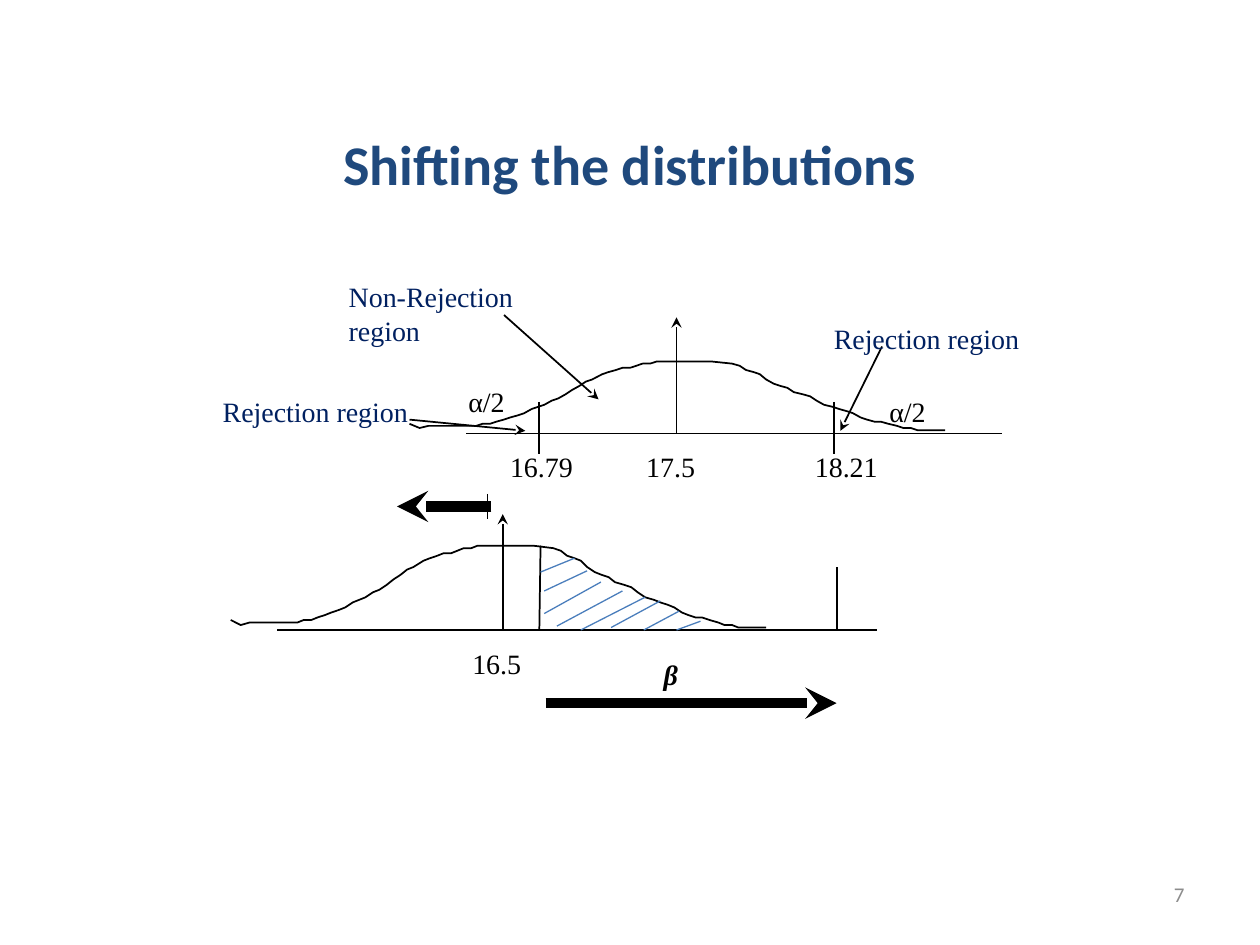
import pptx
import pptx.dml.color
import pptx.enum.shapes
import pptx.enum.text
import pptx.oxml
import pptx.oxml.ns
import pptx.util
from dataclasses import dataclass

Pt = pptx.util.Pt
Align = pptx.enum.text.PP_ALIGN
Anchor = pptx.enum.text.MSO_ANCHOR

BLACK, NAVY, TITLE_BLUE, HATCH_BLUE, GREY = "000000", "002060", "1F497D", "4B7EBC", "8C8C8C"
UPPER_AXIS, LOWER_AXIS = 247.7, 360
UPPER_MEAN, LOWER_MEAN = 386.6, 287.3
LOWER_LIMIT, UPPER_LIMIT = 308.2, 476.6
BETA_END = 478.1

# Bell outline in hundredths of an inch, measured from its left end and its peak
BELL = [
    (0, 59), (8, 63), (15, 61), (53, 61), (58, 59), (64, 59), (69, 57), (75, 55),
    (80, 53), (86, 51), (91, 49), (97, 45), (102, 43), (107, 41), (113, 37), (118, 35),
    (124, 31), (129, 27), (135, 23), (140, 19), (145, 17), (153, 12), (158, 10), (164, 8),
    (169, 6), (175, 6), (180, 4), (185, 2), (191, 2), (196, 0), (240, 0), (256, 2),
    (262, 4), (267, 8), (273, 10), (278, 12), (283, 17), (289, 21), (294, 23), (300, 25),
    (305, 29), (312, 31), (318, 33), (323, 37), (329, 41), (336, 43), (341, 45), (347, 47),
    (352, 49), (358, 53), (363, 55), (369, 57), (374, 57), (380, 59), (387, 61), (392, 63),
    (398, 63), (403, 65), (425, 65),
]
BELL_DEPTH = 65


@dataclass
class Label:
    text: str
    left: float
    top: float
    width: float = 57.6
    height: float = 36
    color: str = BLACK
    size: float = 16
    font: str = "Times New Roman"
    bold: bool = False
    italic: bool = False
    align: Align = Align.LEFT
    anchor: Anchor = Anchor.TOP


@dataclass
class Line:
    """A straight line; an arrow has its tip at the second point."""
    x1: float
    y1: float
    x2: float
    y2: float
    arrow: bool = False
    weight: float = 1
    color: str = BLACK


@dataclass
class Curve:
    left: float
    top: float
    height: float


CURVES = [Curve(234, 206.6, 39.2), Curve(131.8, 311.8, 46.8)]

LINES = [
    Line(266.4, UPPER_AXIS, 572.4, UPPER_AXIS),
    Line(UPPER_MEAN, UPPER_AXIS, UPPER_MEAN, 181.4, arrow=True),
    Line(LOWER_LIMIT, 229.7, LOWER_LIMIT, 259.2),
    Line(UPPER_LIMIT, 229.7, UPPER_LIMIT, 259.2),
    Line(278.6, 282.2, 278.6, 296.6),
    Line(280.8, 289.4, 226.8, 289.4, arrow=True, weight=6),
    Line(158.4, LOWER_AXIS, 501.1, LOWER_AXIS),
    Line(LOWER_MEAN, LOWER_AXIS, LOWER_MEAN, 293.8, arrow=True),
    Line(288, 180, 342, 228.2, arrow=True),
    Line(504, 198, 480.2, 246.2, arrow=True),
    Line(234, 239.8, 300.2, 246.2, arrow=True),
    Line(308.9, 311.8, LOWER_LIMIT, LOWER_AXIS),
    Line(311.8, 401.8, BETA_END, 401.8, arrow=True, weight=6),
    Line(BETA_END, 324, BETA_END, LOWER_AXIS),
]

HATCHING = [
    Line(*ends, weight=0.75, color=HATCH_BLUE)
    for ends in [
        (308.9, 326.9, 328.3, 319), (311, 337.7, 335.5, 326.2),
        (311, 350.6, 343.4, 332.6), (318.2, 357.8, 355.7, 337.7),
        (331.9, 360, 368.6, 341.3), (349.2, 358.6, 377.3, 343.4),
        (367.9, 360, 388.1, 349.2), (386.6, 360, 400.3, 355),
    ]
]

LABELS = [
    Label("16.79", 284.4, 253.4),
    Label("17.5", 362.2, 253.4, 48.2, 26.6),
    Label("18.21", 458.6, 253.4),
    Label("16.5", 262.8, 365.8, 48.2, 26.6),
    Label("β", 372.2, 372.2, 48.2, 26.6, bold=True, italic=True),
    Label("α/2", 260.6, 216),
    Label("α/2", 501.1, 221.8),
    Label("Non-Rejection region", 192.2, 156.2, 136.8, 41.8, NAVY),
    Label("Rejection region", 469.4, 180, 136.8, color=NAVY),
    Label("Rejection region", 120.2, 221.8, 136.8, color=NAVY),
    Label("7", 516, 492, 168, 37.4, GREY, 12, "Calibri",
          align=Align.RIGHT, anchor=Anchor.MIDDLE),
]

TITLE = Label("Shifting the distributions", 54, 48, 612, 90, TITLE_BLUE, 32, "Calibri",
              bold=True, align=Align.CENTER, anchor=Anchor.MIDDLE)


def rgb(color: str) -> pptx.dml.color.RGBColor:
    return pptx.dml.color.RGBColor.from_string(color)


def write_label(box, label: Label) -> None:
    """Place a text shape and fill it with the formatted label."""
    box.left, box.top = Pt(label.left), Pt(label.top)
    box.width, box.height = Pt(label.width), Pt(label.height)
    frame = box.text_frame
    frame.text = label.text
    frame.word_wrap = True
    frame.auto_size = pptx.enum.text.MSO_AUTO_SIZE.NONE
    frame.vertical_anchor = label.anchor
    paragraph = frame.paragraphs[0]
    paragraph.alignment = label.align
    font = paragraph.runs[0].font
    font.name, font.size = label.font, Pt(label.size)
    font.bold, font.italic = label.bold, label.italic
    font.color.rgb = rgb(label.color)


def draw_line(page, line: Line) -> None:
    connector = page.shapes.add_connector(
        pptx.enum.shapes.MSO_CONNECTOR.STRAIGHT,
        Pt(line.x1), Pt(line.y1), Pt(line.x2), Pt(line.y2))
    connector.line.width = Pt(line.weight)
    connector.line.color.rgb = rgb(line.color)
    if line.arrow:
        tip = pptx.oxml.parse_xml(
            f'<a:tailEnd {pptx.oxml.ns.nsdecls("a")} type="stealth"/>')
        connector.line._get_or_add_ln().append(tip)
    no_shadow = pptx.oxml.parse_xml(f'<a:effectLst {pptx.oxml.ns.nsdecls("a")}/>')
    connector._element.spPr.append(no_shadow)


def draw_curve(page, curve: Curve) -> None:
    scale = (Pt(0.72), Pt(curve.height / BELL_DEPTH))
    builder = page.shapes.build_freeform(*BELL[0], scale=scale)
    builder.add_line_segments(BELL[1:], close=False)
    bell = builder.convert_to_shape(Pt(curve.left), Pt(curve.top))
    bell.shadow.inherit = False
    bell.fill.background()
    bell.line.width = Pt(1)
    bell.line.color.rgb = rgb(BLACK)


def main() -> None:
    deck = pptx.Presentation()
    deck.slide_width, deck.slide_height = Pt(720), Pt(540)
    page = deck.slides.add_slide(deck.slide_layouts.get_by_name("Title Only"))
    write_label(page.shapes.title, TITLE)
    for curve in CURVES:
        draw_curve(page, curve)
    for line in LINES + HATCHING:
        draw_line(page, line)
    for label in LABELS:
        write_label(page.shapes.add_textbox(0, 0, 0, 0), label)
    deck.save("out.pptx")


if __name__ == "__main__":
    main()
